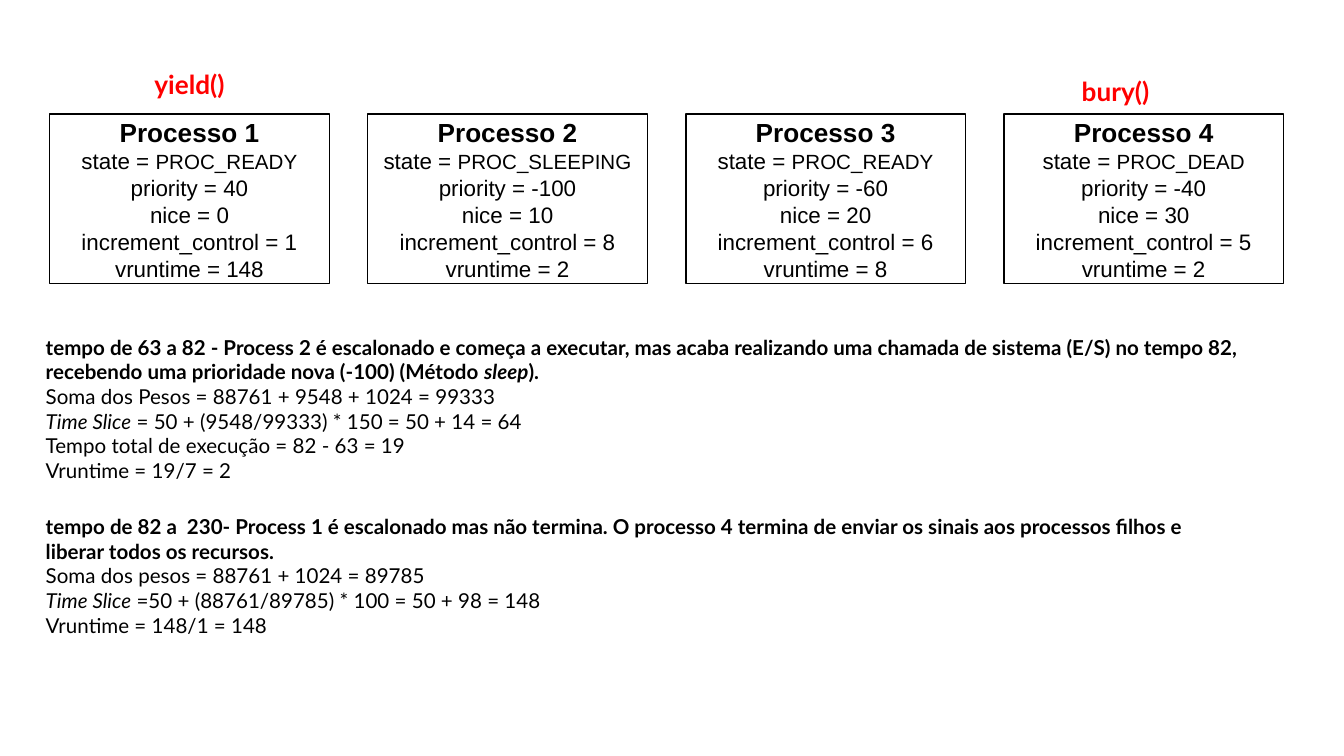
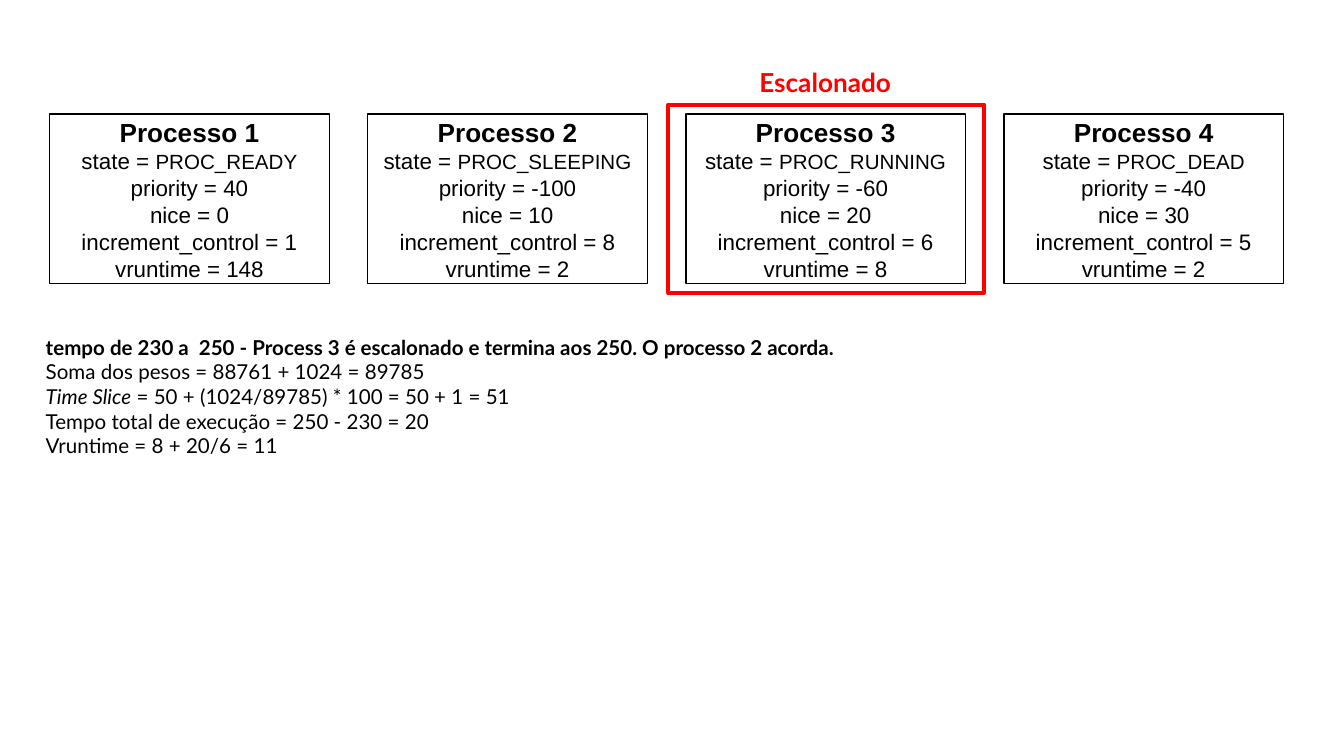
from dataclasses import dataclass, replace

from lxml import etree
from pptx import Presentation
from pptx.dml.color import RGBColor
from pptx.enum.shapes import MSO_SHAPE
from pptx.enum.text import MSO_ANCHOR, MSO_AUTO_SIZE, PP_ALIGN
from pptx.oxml.ns import qn
from pptx.slide import Slide
from pptx.text.text import TextFrame, _Paragraph
from pptx.util import Inches, Pt

RECTANGLE = MSO_SHAPE.RECTANGLE
LEFT, CENTER = PP_ALIGN.LEFT, PP_ALIGN.CENTER
TOP, MIDDLE = MSO_ANCHOR.TOP, MSO_ANCHOR.MIDDLE
NO_AUTOFIT = MSO_AUTO_SIZE.NONE

COLORS = {"paper": "FFFFFF", "ink": "000000", "alert": "FF0000"}
CARD_FONT, TEXT_FONT = "Arial", "Lato"
TITLE_AND_CONTENT = 1

SLIDE_WIDTH = 10
SLIDE_HEIGHT = SLIDE_WIDTH * 9 / 16
CARD_TOP, CARD_WIDTH, CARD_HEIGHT = 0.85, 2.08, 1.26
FIRST_CARD_LEFT, LAST_CARD_LEFT = 0.37, 7.47
FRAME_LEFT_MARGIN, FRAME_TOP_MARGIN = 0.13, 0.07
FRAME_WIDTH, FRAME_HEIGHT = 2.35, 1.4
CALL_WIDTH, CALL_HEIGHT = 1.52, 0.29
STEP_GAP = 16.8


@dataclass(frozen=True)
class Process:
    number: int
    state: str
    priority: int
    nice: int
    increment: int
    vruntime: int


@dataclass(frozen=True)
class Call:
    """Red label above a process."""
    text: str
    left: float
    top: float
    align: PP_ALIGN = CENTER


@dataclass(frozen=True)
class Span:
    text: str
    italic: bool = False


@dataclass(frozen=True)
class Step:
    """One scheduling interval: bold heading and the sums below it."""
    heading: list[Span]
    sums: list[list[Span]]


@dataclass(frozen=True)
class Scene:
    processes: list[Process]
    calls: list[Call]
    steps: list[Step]
    scheduled: int | None = None


TIME_SLICE = Span("Time Slice", italic=True)

READY_PROCESSES = [
    Process(1, "PROC_READY", 40, 0, 1, 148),
    Process(2, "PROC_SLEEPING", -100, 10, 8, 2),
    Process(3, "PROC_READY", -60, 20, 6, 8),
    Process(4, "PROC_DEAD", -40, 30, 5, 2),
]
RUNNING_PROCESSES = [
    replace(process, state="PROC_RUNNING") if process.number == 3 else process
    for process in READY_PROCESSES
]

SCENES = [
    Scene(
        READY_PROCESSES,
        [Call("yield()", 0.65, 0.41), Call("bury()", 7.95, 0.46, LEFT)],
        [
            Step(
                [Span("tempo de 63 a 82 - Process 2 é escalonado e começa a executar, "
                      "mas acaba realizando uma chamada de sistema (E/S) no tempo 82, "
                      "recebendo uma prioridade nova (-100) (Método "),
                 Span("sleep", italic=True), Span(").")],
                [[Span("Soma dos Pesos = 88761 + 9548 + 1024 = 99333")],
                 [TIME_SLICE, Span(" = 50 + (9548/99333) * 150 = 50 + 14 = 64")],
                 [Span("Tempo total de execução = 82 - 63 = 19")],
                 [Span("Vruntime = 19/7 = 2")]],
            ),
            Step(
                [Span("tempo de 82 a  230- Process 1 é escalonado mas não termina. "
                      "O processo 4 termina de enviar os sinais aos processos filhos "
                      "e liberar todos os recursos.")],
                [[Span("Soma dos pesos = 88761 + 1024 = 89785")],
                 [TIME_SLICE, Span(" =50 + (88761/89785) * 100 = 50 + 98 = 148")],
                 [Span("Vruntime = 148/1 = 148")]],
            ),
        ],
    ),
    Scene(
        RUNNING_PROCESSES,
        [Call("Escalonado", 5.38, 0.39)],
        [
            Step(
                [Span("tempo de 230 a  250 - Process 3 é escalonado e termina aos 250. "
                      "O processo 2 acorda.")],
                [[Span("Soma dos pesos = 88761 + 1024 = 89785")],
                 [TIME_SLICE, Span(" = 50 + (1024/89785) * 100 = 50 + 1 = 51")],
                 [Span("Tempo total de execução = 250 - 230 = 20")],
                 [Span("Vruntime = 8 + 20/6 = 11")]],
            ),
        ],
        scheduled=3,
    ),
]


def color(name: str) -> RGBColor:
    return RGBColor.from_string(COLORS[name])


def prepare(frame: TextFrame, anchor: MSO_ANCHOR = TOP) -> None:
    """Set the wrapping, anchor and insets that every text shares."""
    frame.word_wrap = True
    frame.auto_size = NO_AUTOFIT
    frame.vertical_anchor = anchor
    frame.margin_left = frame.margin_right = Inches(0.1)
    frame.margin_top = frame.margin_bottom = Inches(0.1)


def next_paragraph(frame: TextFrame) -> _Paragraph:
    """Return the still empty first paragraph, or a new one."""
    first = frame.paragraphs[0]
    return frame.add_paragraph() if first.runs else first


def add_run(paragraph: _Paragraph, text: str, size: float, font: str,
            ink: str = "ink", bold: bool = False, italic: bool = False) -> None:
    run = paragraph.add_run()
    run.text = text
    run.font.size = Pt(size)
    run.font.name = font
    run.font.bold = bold
    run.font.italic = italic
    run.font.color.rgb = color(ink)


def card_left(number: int) -> float:
    pitch = (LAST_CARD_LEFT - FIRST_CARD_LEFT) / (len(READY_PROCESSES) - 1)
    return FIRST_CARD_LEFT + (number - 1) * pitch


def draw_card(slide: Slide, process: Process) -> None:
    card = slide.shapes.add_shape(
        RECTANGLE, Inches(card_left(process.number)), Inches(CARD_TOP),
        Inches(CARD_WIDTH), Inches(CARD_HEIGHT))
    card.shadow.inherit = False
    card.fill.solid()
    card.fill.fore_color.rgb = color("paper")
    card.line.color.rgb = color("ink")
    card.line.width = Pt(0.75)

    frame = card.text_frame
    prepare(frame, MIDDLE)
    lines = [
        [(f"Processo {process.number}", 14, True)],
        [("state = ", 12, False), (process.state, 11, False)],
        [(f"priority = {process.priority}", 12, False)],
        [(f"nice = {process.nice}", 12, False)],
        [(f"increment_control = {process.increment}", 12, False)],
        [(f"vruntime = {process.vruntime}", 12, False)],
    ]
    for line in lines:
        paragraph = next_paragraph(frame)
        paragraph.alignment = CENTER
        for text, size, bold in line:
            add_run(paragraph, text, size, CARD_FONT, bold=bold)


def draw_scheduled_frame(slide: Slide, number: int) -> None:
    frame = slide.shapes.add_shape(
        RECTANGLE, Inches(card_left(number) - FRAME_LEFT_MARGIN),
        Inches(CARD_TOP - FRAME_TOP_MARGIN),
        Inches(FRAME_WIDTH), Inches(FRAME_HEIGHT))
    frame.shadow.inherit = False
    frame.fill.background()
    frame.line.color.rgb = color("alert")
    frame.line.width = Pt(2.25)


def draw_call(slide: Slide, call: Call) -> None:
    label = slide.shapes.add_textbox(
        Inches(call.left), Inches(call.top), Inches(CALL_WIDTH), Inches(CALL_HEIGHT))
    prepare(label.text_frame)
    paragraph = label.text_frame.paragraphs[0]
    paragraph.alignment = call.align
    add_run(paragraph, call.text, 14, TEXT_FONT, "alert", bold=True)


def remove_bullet(paragraph: _Paragraph) -> None:
    properties = paragraph._p.get_or_add_pPr()
    properties.set("marL", "0")
    properties.set("indent", "0")
    etree.SubElement(properties, qn("a:buNone"))


def write_steps(slide: Slide, steps: list[Step]) -> None:
    body = slide.placeholders[1]
    body.left, body.top = Inches(0.24), Inches(2.39)
    body.width, body.height = Inches(9.1), Inches(3.03)
    frame = body.text_frame
    prepare(frame)
    for step_index, step in enumerate(steps):
        for line_index, spans in enumerate([step.heading, *step.sums]):
            is_heading = line_index == 0
            paragraph = next_paragraph(frame)
            remove_bullet(paragraph)
            paragraph.alignment = LEFT
            paragraph.space_before = Pt(STEP_GAP if is_heading and step_index else 0)
            for span in spans:
                add_run(paragraph, span.text, 11, TEXT_FONT,
                        bold=is_heading, italic=span.italic)


def build_scene(presentation: Presentation, scene: Scene) -> None:
    slide = presentation.slides.add_slide(
        presentation.slide_layouts[TITLE_AND_CONTENT])
    empty_title = slide.shapes.title.element
    empty_title.getparent().remove(empty_title)
    write_steps(slide, scene.steps)
    for process in scene.processes:
        draw_card(slide, process)
    if scene.scheduled is not None:
        draw_scheduled_frame(slide, scene.scheduled)
    for call in scene.calls:
        draw_call(slide, call)


def main() -> None:
    presentation = Presentation()
    presentation.slide_width = Inches(SLIDE_WIDTH)
    presentation.slide_height = Inches(SLIDE_HEIGHT)
    for scene in SCENES:
        build_scene(presentation, scene)
    presentation.save("out.pptx")


if __name__ == "__main__":
    main()
